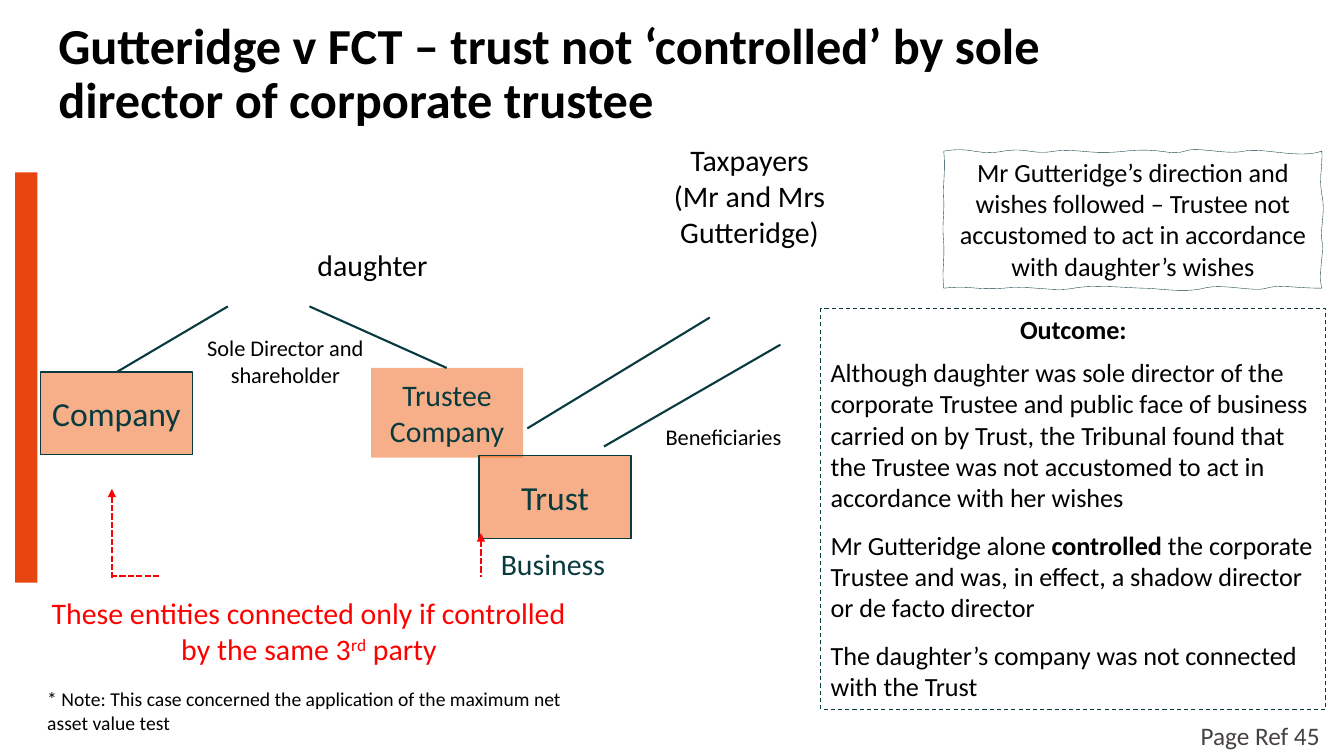
from dataclasses import dataclass

from lxml import etree
from pptx import Presentation
from pptx.dml.color import RGBColor
from pptx.enum.dml import MSO_LINE
from pptx.enum.shapes import MSO_CONNECTOR, MSO_SHAPE
from pptx.enum.text import MSO_ANCHOR, PP_ALIGN
from pptx.oxml.ns import qn
from pptx.util import Inches, Pt

LEFT, CENTER = PP_ALIGN.LEFT, PP_ALIGN.CENTER
TOP, MIDDLE = MSO_ANCHOR.TOP, MSO_ANCHOR.MIDDLE
RECT, STRAIGHT = MSO_SHAPE.RECTANGLE, MSO_CONNECTOR.STRAIGHT
DASH, DOTS = MSO_LINE.DASH, MSO_LINE.SQUARE_DOT


@dataclass(frozen=True)
class Theme:
    """Colours, font and type sizes of the slide."""
    font: str = "Calibri"
    ink: str = "000000"
    teal: str = "083A3E"
    red: str = "FF0000"
    bar: str = "E84610"
    orange: str = "EE6112"
    gray: str = "464145"
    title: float = 36
    name: float = 24
    label: float = 21.33
    body: float = 18.67
    page: float = 18
    small: float = 16
    foot: float = 14


T = Theme()


def write(shape, paras, size, color=T.ink, align=CENTER, anchor=TOP):
    """Fill a shape with paragraphs, each a list of (text, style) runs."""
    frame = shape.text_frame
    frame.word_wrap = True
    frame.vertical_anchor = anchor
    for i, runs in enumerate(paras):
        para = frame.paragraphs[0] if i == 0 else frame.add_paragraph()
        para.alignment = align
        for text, style in runs:
            if style == "break":
                para.add_line_break()
                continue
            run = para.add_run()
            run.text = text
            run.font.name = T.font
            run.font.size = Pt(size)
            run.font.bold = style == "bold"
            run.font.color.rgb = RGBColor.from_string(color)
            if style == "super":
                run._r.get_or_add_rPr().set("baseline", "30000")
    return frame


def label(slide, box, lines, size, color=T.ink, align=CENTER):
    """Add a text box with one plain run per line."""
    shape = slide.shapes.add_textbox(*map(Inches, box))
    write(shape, [[(line, "")] for line in lines], size, color, align)


def stroke(line, color, width, dash=None):
    """Style an outline or a connector."""
    line.color.rgb = RGBColor.from_string(color)
    line.width = Pt(width)
    if dash:
        line.dash_style = dash


def panel(slide, box, fill=None, alpha=100):
    """Add a rectangle without shadow or outline."""
    shape = slide.shapes.add_shape(RECT, *map(Inches, box))
    shape.shadow.inherit = False
    shape.line.fill.background()
    if fill is None:
        shape.fill.background()
        return shape
    shape.fill.solid()
    shape.fill.fore_color.rgb = RGBColor.from_string(fill)
    if alpha < 100:
        tint = shape.fill._xPr.find(".//" + qn("a:srgbClr"))
        etree.SubElement(tint, qn("a:alpha")).set("val", str(alpha * 1000))
    return shape


def entity(slide, box, lines, size, edge=True):
    """Add a tinted box that names an entity."""
    shape = panel(slide, box, T.orange, 50)
    if edge:
        stroke(shape.line, T.teal, 1)
    write(shape, [[(line, "")] for line in lines], size, T.teal, anchor=MIDDLE)


def link(slide, ends, color=T.teal, dash=None, arrow=False):
    """Draw a line, with an optional arrowhead at its start."""
    line = slide.shapes.add_connector(STRAIGHT, *map(Inches, ends))
    stroke(line.line, color, 1.5, dash)
    if arrow:
        head = etree.SubElement(line.line._get_or_add_ln(), qn("a:headEnd"))
        head.set("type", "triangle")
    etree.SubElement(line._element.spPr, qn("a:effectLst"))


def heading(slide, box):
    """Place the title in two lines."""
    shape = slide.shapes.add_textbox(*map(Inches, box))
    runs = [("Gutteridge v FCT – trust not ‘controlled’ by sole ", "bold"),
            ("", "break"), ("director of corporate trustee", "bold")]
    frame = write(shape, [runs], T.title, align=LEFT, anchor=MIDDLE)
    frame.paragraphs[0].line_spacing = 0.9


def diagram(slide, x, y):
    """Draw the people, the entities and the links between them."""
    wide, high = 1.51, 0.82
    entity(slide, (x + 3.31, y + 2.29, wide, 0.89), ["Trustee", "Company"], T.label, False)
    entity(slide, (x + 4.38, y + 3.16, wide, high), ["Trust"], T.name)
    entity(slide, (x + 0.03, y + 2.33, wide, high), ["Company"], T.name)

    for x1, y1, x2, y2 in ((1.89, 1.68, 0.79, 2.33), (2.7, 1.68, 4.06, 2.29),
                           (6.67, 1.79, 4.86, 2.89), (7.37, 2.06, 5.62, 3.07)):
        link(slide, (x + x1, y + y1, x + x2, y + y2))
    for x1, y1, x2, y2, arrow in ((0.74, 3.49, 0.74, 4.37, True),
                                  (1.21, 4.35, 0.74, 4.35, False),
                                  (4.4, 3.93, 4.4, 4.36, True)):
        link(slide, (x + x1, y + y1, x + x2, y + y2), T.red, DOTS, arrow)

    for dx, dy, w, h, lines, size, color in (
            (5.62, 0, 2.89, 1.18, ["Taxpayers", "(Mr and Mrs Gutteridge)"], T.label, T.ink),
            (1.88, 1.04, 2.89, 0.46, ["daughter"], T.label, T.ink),
            (1.5, 1.91, 1.92, 0.65, ["Sole Director and shareholder"], T.small, T.ink),
            (6.08, 2.79, 1.45, 0.38, ["Beneficiaries"], T.small, T.ink),
            (4.42, 4, 1.39, 0.47, ["Business"], T.label, T.teal)):
        label(slide, (x + dx, y + dy, w, h), lines, size, color)

    shape = slide.shapes.add_textbox(*map(Inches, (x, y + 4.49, 5.39, 0.82)))
    runs = [("These entities connected only if controlled by the same 3", ""),
            ("rd", "super"), (" party", "")]
    write(shape, [runs], T.label, T.red)


def note(slide, x, y, w, h):
    """Draw the note with a wavy edge of cubic curves."""
    curves = (
        (.27, -.05, .34, .05, .59, 0), (.84, -.04, .87, .04, 1.1, 0),
        (1.32, -.03, 1.45, .04, 1.8, 0), (2.15, -.04, 2.25, .05, 2.39, 0),
        (2.52, -.05, 2.79, .04, 2.98, 0), (3.16, -.04, 3.52, .08, w, 0),
        (3.76, .16, 3.72, .25, w, .43), (3.79, .6, 3.73, .79, w, .88),
        (3.78, .97, 3.71, 1.22, w, h), (3.48, 1.36, 3.33, 1.32, 3.2, h),
        (3.07, 1.4, 2.77, 1.31, 2.58, h), (2.39, 1.41, 2.11, 1.36, 1.99, h),
        (1.86, 1.36, 1.49, 1.32, 1.29, h), (1.08, 1.4, .88, 1.33, .59, h),
        (.29, 1.38, .28, 1.33, 0, h), (-.02, 1.17, .01, 1.09, 0, .91),
        (-.02, .72, .01, .59, 0, .47), (-.01, .34, .02, .18, 0, 0))
    edge = slide.shapes.build_freeform(Inches(x), Inches(y))
    ends = ((x + w, y), (x + w, y + h), (x, y + h))
    edge.add_line_segments([(Inches(a), Inches(b)) for a, b in ends], close=True)
    shape = edge.convert_to_shape()
    trace = shape._element.spPr.find(".//" + qn("a:path"))
    for side in trace.findall(qn("a:lnTo")):
        trace.remove(side)
    for i, curve in enumerate(curves, 1):
        bend = etree.Element(qn("a:cubicBezTo"))
        trace.insert(i, bend)
        for a, b in zip(curve[::2], curve[1::2]):
            etree.SubElement(bend, qn("a:pt"), x=str(int(Inches(a))), y=str(int(Inches(b))))
    shape.shadow.inherit = False
    shape.fill.background()
    stroke(shape.line, T.teal, 0.25)
    text = ("Mr Gutteridge’s direction and wishes followed – Trustee not "
            "accustomed to act in accordance with daughter’s wishes")
    write(shape, [[(text, "")]], T.body)


def outcome(slide, box):
    """Place the dashed panel with the findings."""
    shape = panel(slide, box)
    stroke(shape.line, T.teal, 0.75, DASH)
    paras = [
        [("Outcome:", "bold")],
        [("Although daughter was sole director of the corporate Trustee and public face of "
          "business carried on by Trust, the Tribunal found that the Trustee was not "
          "accustomed to act in accordance with her wishes", "")],
        [("Mr Gutteridge alone ", ""), ("controlled", "bold"),
         (" the corporate Trustee and was, in effect, a shadow director or de facto director", "")],
        [("The daughter’s company was not connected with the Trust", "")]]
    lines = write(shape, paras, T.body, align=LEFT).paragraphs
    lines[0].alignment = CENTER
    for para, gap in zip(lines[1:], (8.2, 11.4, 11.4)):
        para.space_before = Pt(gap)


def main():
    """Build the slide and save it."""
    deck = Presentation()
    deck.slide_width, deck.slide_height = Inches(13.33), Inches(7.5)
    slide = deck.slides.add_slide(deck.slide_layouts[6])
    panel(slide, (0.15, 1.71, 0.22, 4.07), T.bar)
    heading(slide, (0.48, 0.02, 11.5, 1.45))
    diagram(slide, 0.37, 1.36)
    outcome(slide, (8.14, 3.06, 5.01, 3.98))
    note(slide, 9.36, 1.5, 3.75, 1.36)
    foot = "* Note: This case concerned the application of the maximum net asset value test"
    label(slide, (0.37, 6.77, 5.59, 0.57), [foot], T.foot, align=LEFT)
    label(slide, (11.81, 7.1, 1.52, 0.4), ["Page Ref 45"], T.page, T.gray, LEFT)
    deck.save("out.pptx")


if __name__ == "__main__":
    main()
